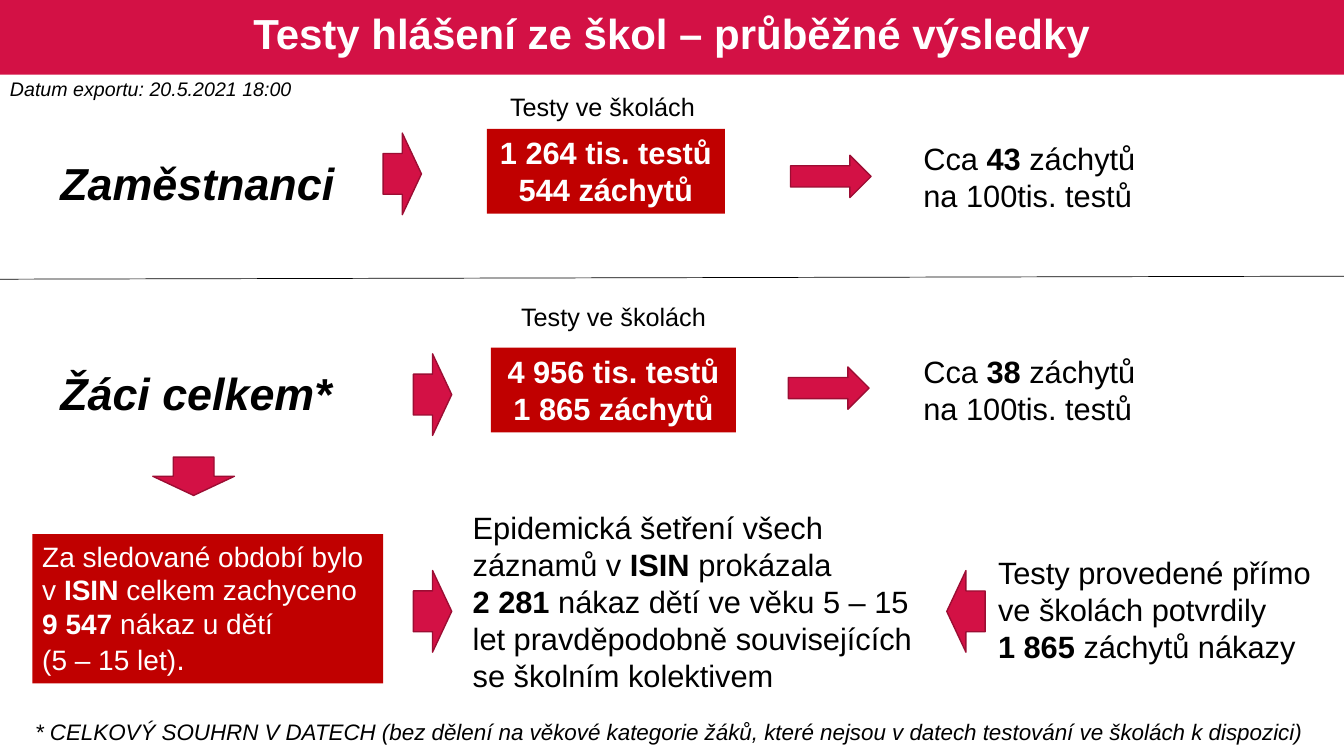
"""Build the slide on interim results of school testing reports."""
from lxml import etree
from pptx import Presentation
from pptx.dml.color import RGBColor
from pptx.enum import shapes, text
from pptx.oxml import ns
from pptx.util import Inches, Pt

COLOURS = {name: RGBColor.from_string(value) for name, value in {
    "crimson": "D31145", "outline": "9C0D33", "red": "C00000",
    "white": "FFFFFF", "black": "000000"}.items()}

presentation = Presentation()
presentation.slide_width = Inches(13.33)
presentation.slide_height = Inches(7.5)
slide = presentation.slides.add_slide(presentation.slide_layouts[5])


def add_text(box, lines, size, fill=None, colour="black", bold=False,
             italic=False, align="LEFT", wrap=True):
    """Add a text box or filled rectangle; ** toggles bold, \\v breaks a line."""
    lengths = [Inches(value) for value in box]
    if fill:
        shape = slide.shapes.add_shape(shapes.MSO_SHAPE.RECTANGLE, *lengths)
        shape.shadow.inherit = False
        shape.fill.solid()
        shape.fill.fore_color.rgb = COLOURS[fill]
        shape.line.fill.background()
    else:
        shape = slide.shapes.add_textbox(*lengths)
    frame = shape.text_frame
    frame.word_wrap = wrap
    frame.auto_size = text.MSO_AUTO_SIZE.SHAPE_TO_FIT_TEXT
    frame.vertical_anchor = text.MSO_ANCHOR.TOP
    for index, line in enumerate(lines):
        paragraph = frame.add_paragraph() if index else frame.paragraphs[0]
        paragraph.alignment = text.PP_ALIGN[align]
        for part_index, part in enumerate(line.split("**")):
            for piece_index, piece in enumerate(part.split("\v")):
                if piece_index:
                    paragraph.add_line_break()
                if piece:
                    run = paragraph.add_run()
                    run.text = piece
                    run.font.name = "Arial"
                    run.font.size = Pt(size)
                    run.font.bold = bold or part_index % 2 == 1
                    run.font.italic = italic
                    run.font.color.rgb = COLOURS[colour]
    return shape


title = slide.shapes.title
band = slide.shapes.add_shape(
    shapes.MSO_SHAPE.RECTANGLE, 0, 0, Inches(13.33), Inches(0.74))
band.shadow.inherit = False
band.fill.solid()
band.fill.fore_color.rgb = COLOURS["crimson"]
band.line.fill.background()
title.element.addprevious(band.element)

title.left, title.top = Inches(0.18), Inches(0.04)
title.width, title.height = Inches(12.97), Inches(0.63)
title.text_frame.text = "Testy hlášení ze škol – průběžné výsledky"
title.text_frame.vertical_anchor = text.MSO_ANCHOR.MIDDLE
title_paragraph = title.text_frame.paragraphs[0]
title_paragraph.alignment = text.PP_ALIGN.CENTER
title_paragraph.line_spacing = 0.9
title_font = title_paragraph.runs[0].font
title_font.name, title_font.size, title_font.bold = "Arial", Pt(30), True
title_font.color.rgb = COLOURS["white"]

add_text((0, 0.71, 3.01, 0.34), ["Datum exportu: 20.5.2021 18:00"], 14,
         italic=True, wrap=False)
add_text((0.25, 7.08, 13.23, 0.37),
         ["* CELKOVÝ SOUHRN V DATECH (bez dělení na věkové kategorie žáků, "
          "které nejsou v datech testování ve školách k dispozici)"],
         16, italic=True)

groups = [
    ("Zaměstnanci", 1.5, (3.99, 0.86), (4.83, 1.28, 2.36, 0.84),
     ["1 264 tis. testů", "544 záchytů"], "43", 1.34),
    ("Žáci celkem*", 3.58, (4.1, 2.94), (4.87, 3.45, 2.43, 0.84),
     ["4 956 tis. testů", "1 865 záchytů"], "38", 3.45),
]
for name, name_top, caption, result_box, results, rate, rate_top in groups:
    add_text((0.5, name_top, 3.03, 0.64), [name], 32, bold=True, italic=True)
    add_text((*caption, 4.04, 0.4), ["Testy ve školách "], 18, align="CENTER")
    add_text(result_box, results, 22, fill="red", colour="white", bold=True,
             align="CENTER")
    add_text((9.06, rate_top, 2.71, 0.84),
             [f"Cca **{rate}** záchytů na 100tis. testů"], 22, fill="white")

infections = add_text(
    (0.32, 5.3, 3.48, 1.48),
    ["Za sledované období bylo v **ISIN** celkem zachyceno\v**9 547 **nákaz u dětí",
     "(5 – 15 let)**.**"], 20, fill="red", colour="white")
full_stop = infections.text_frame.paragraphs[1].runs[-1]
full_stop.font.size, full_stop.font.bold = Pt(22), False
add_text((9.8, 5.44, 3.51, 1.21),
         ["Testy provedené přímo ve školách potvrdily",
          "**1 865 **záchytů nákazy"], 22, fill="white")
add_text((4.59, 5, 4.74, 1.95),
         ["Epidemická šetření všech záznamů v **ISIN** prokázala",
          "**2 281 **nákaz dětí ve věku 5 – 15 let pravděpodobně "
          "souvisejících se školním kolektivem"], 22, fill="white")

divider = slide.shapes.add_connector(
    shapes.MSO_CONNECTOR.STRAIGHT, 0, Inches(2.77), Inches(13.33), Inches(2.74))
divider.line.color.rgb = COLOURS["black"]
divider.line.width = Pt(0.5)
etree.SubElement(divider.element.spPr, ns.qn("a:effectLst"))

short, long = (0.38, 0.81), (0.8, 0.42)
arrows = [
    (3.8, 1.32, short, 0), (7.84, 1.54, long, 0),
    (4.1, 3.51, short, 0), (7.82, 3.64, long, 0),
    (1.73, 4.32, short, 90), (4.1, 5.66, short, 0), (9.39, 5.66, short, 180),
]
for left, top, size, rotation in arrows:
    arrow = slide.shapes.add_shape(
        shapes.MSO_SHAPE.RIGHT_ARROW,
        *[Inches(value) for value in (left, top, *size)])
    arrow.shadow.inherit = False
    arrow.rotation = rotation
    arrow.fill.solid()
    arrow.fill.fore_color.rgb = COLOURS["crimson"]
    arrow.line.color.rgb = COLOURS["outline"]
    arrow.line.width = Pt(1)

presentation.save("out.pptx")
